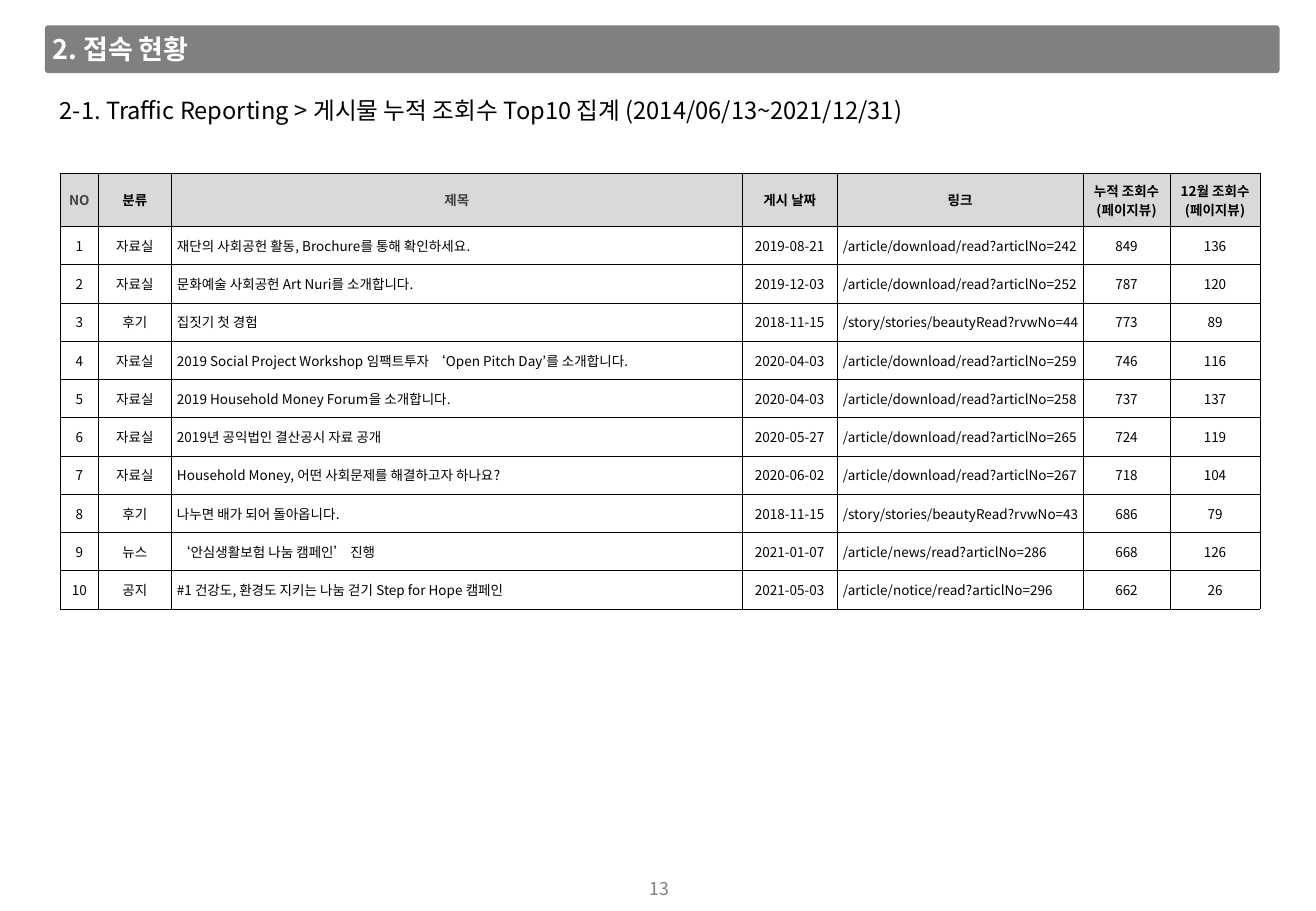
import pptx
import pptx.dml.color
import pptx.enum.shapes
import pptx.enum.text
import pptx.oxml
import pptx.oxml.ns
import pptx.util

Cm = pptx.util.Cm
Pt = pptx.util.Pt
RGBColor = pptx.dml.color.RGBColor
ALIGN = pptx.enum.text.PP_ALIGN
ANCHOR = pptx.enum.text.MSO_ANCHOR

FONT = "Noto Sans CJK KR"
BLACK = RGBColor(0x00, 0x00, 0x00)
WHITE = RGBColor(0xFF, 0xFF, 0xFF)
GRAY = RGBColor(0x80, 0x80, 0x80)
DARK_GRAY = RGBColor(0x40, 0x40, 0x40)
LIGHT_GRAY = RGBColor(0xD9, 0xD9, 0xD9)


def write(frame, text, size, color, bold=False, align=ALIGN.LEFT):
    paragraph = frame.paragraphs[0]
    paragraph.text = text
    paragraph.alignment = align
    for run in paragraph.runs:
        for name, value in {"name": FONT, "size": Pt(size), "bold": bold}.items():
            setattr(run.font, name, value)
        run.font.color.rgb = color
        east_asian = pptx.oxml.parse_xml(
            f'<a:ea {pptx.oxml.ns.nsdecls("a")} typeface="{FONT}"/>')
        run.font._element.find(pptx.oxml.ns.qn("a:latin")).addnext(east_asian)
    return paragraph


def format_frame(frame, margin, wrap, anchor):
    settings = {
        "margin_left": Cm(margin), "margin_right": Cm(margin),
        "margin_top": Cm(margin), "margin_bottom": Cm(margin),
        "word_wrap": wrap, "vertical_anchor": anchor,
        "auto_size": pptx.enum.text.MSO_AUTO_SIZE.NONE,
    }
    for name, value in settings.items():
        setattr(frame, name, value)


presentation = pptx.Presentation()
presentation.slide_width = Cm(27.51)
presentation.slide_height = Cm(19.05)
slide = presentation.slides.add_slide(presentation.slide_layouts[5])

section = slide.shapes.title
for name, value in {"left": 0.97, "top": 0.56, "width": 10, "height": 0.94}.items():
    setattr(section, name, Cm(value))
format_frame(section.text_frame, 0.13, True, ANCHOR.TOP)
write(section.text_frame, "2. 접속 현황", 16, WHITE, bold=True)

section_bar = slide.shapes.add_shape(
    pptx.enum.shapes.MSO_SHAPE.ROUNDED_RECTANGLE, Cm(0.94), Cm(0.53), Cm(25.81), Cm(1))
section_bar.adjustments[0] = 0.07
section_bar.shadow.inherit = False
section_bar.fill.solid()
section_bar.fill.fore_color.rgb = GRAY
section_bar.line.fill.background()
section.element.addprevious(section_bar.element)

report_heading = slide.shapes.add_textbox(Cm(1.12), Cm(1.88), Cm(20.14), Cm(0.86))
format_frame(report_heading.text_frame, 0.13, True, ANCHOR.TOP)
write(report_heading.text_frame,
      "2-1. Traffic Reporting > 게시물 누적 조회수 Top10 집계 (2014/06/13~2021/12/31)",
      14, BLACK)

headers = ["NO", "분류", "제목", "게시 날짜", "링크",
           "누적 조회수\v(페이지뷰)", "12월 조회수\v(페이지뷰)"]
DOWNLOAD = "/article/download/read?articlNo="
STORY = "/story/stories/beautyRead?rvwNo="
posts = [
    ("자료실", "재단의 사회공헌 활동, Brochure를 통해 확인하세요.", "2019-08-21", DOWNLOAD + "242", 849, 136),
    ("자료실", "문화예술 사회공헌 Art Nuri를 소개합니다.", "2019-12-03", DOWNLOAD + "252", 787, 120),
    ("후기", "집짓기 첫 경험", "2018-11-15", STORY + "44", 773, 89),
    ("자료실", "2019 Social Project Workshop 임팩트투자 ‘Open Pitch Day’를 소개합니다.",
     "2020-04-03", DOWNLOAD + "259", 746, 116),
    ("자료실", "2019 Household Money Forum을 소개합니다.", "2020-04-03", DOWNLOAD + "258", 737, 137),
    ("자료실", "2019년 공익법인 결산공시 자료 공개", "2020-05-27", DOWNLOAD + "265", 724, 119),
    ("자료실", "Household Money, 어떤 사회문제를 해결하고자 하나요?", "2020-06-02", DOWNLOAD + "267", 718, 104),
    ("후기", "나누면 배가 되어 돌아옵니다.", "2018-11-15", STORY + "43", 686, 79),
    ("뉴스", "‘안심생활보험 나눔 캠페인’ 진행", "2021-01-07", "/article/news/read?articlNo=286", 668, 126),
    ("공지", "#1 건강도, 환경도 지키는 나눔 걷기 Step for Hope 캠페인", "2021-05-03",
     "/article/notice/read?articlNo=296", 662, 26),
]
rows = [headers] + [(rank, *post) for rank, post in enumerate(posts, 1)]
column_widths = [0.8, 1.52, 11.94, 1.98, 5.14, 1.82, 1.88]

ranking = slide.shapes.add_table(
    len(rows), len(headers), Cm(1.26), Cm(3.63), Cm(sum(column_widths)), Cm(9.1)).table
ranking.first_row = False
ranking.horz_banding = False
for column, width in zip(ranking.columns, column_widths):
    column.width = Cm(width)

for row_index, row in enumerate(rows):
    is_header = row_index == 0
    ranking.rows[row_index].height = Cm(1.1 if is_header else 0.8)
    for column_index, value in enumerate(row):
        cell = ranking.cell(row_index, column_index)
        for side in ("left", "right", "top", "bottom"):
            setattr(cell, "margin_" + side, Cm(0.02))
        cell.vertical_anchor = ANCHOR.MIDDLE
        if is_header:
            cell.fill.solid()
            cell.fill.fore_color.rgb = LIGHT_GRAY
        else:
            cell.fill.background()
        color = DARK_GRAY if is_header and column_index in (0, 2) else BLACK
        is_indented = not is_header and column_index in (2, 4)
        entry = write(cell.text_frame, str(value), 8, color, is_header,
                      ALIGN.LEFT if is_indented else ALIGN.CENTER)
        if is_indented:
            entry._p.get_or_add_pPr().set("marL", str(Cm(0.1)))
        for position, edge in enumerate(("lnL", "lnR", "lnT", "lnB")):
            border = pptx.oxml.parse_xml(
                f'<a:{edge} {pptx.oxml.ns.nsdecls("a")} w="{Pt(0.25)}">'
                f'<a:solidFill><a:srgbClr val="{BLACK}"/></a:solidFill></a:{edge}>')
            cell._tc.get_or_add_tcPr().insert(position, border)

page_number = slide.shapes.add_textbox(Cm(13.44), Cm(18.24), Cm(0.69), Cm(0.66))
format_frame(page_number.text_frame, 0.1, False, ANCHOR.MIDDLE)
write(page_number.text_frame, "13", 10.5, GRAY, align=ALIGN.CENTER)

presentation.save("out.pptx")
